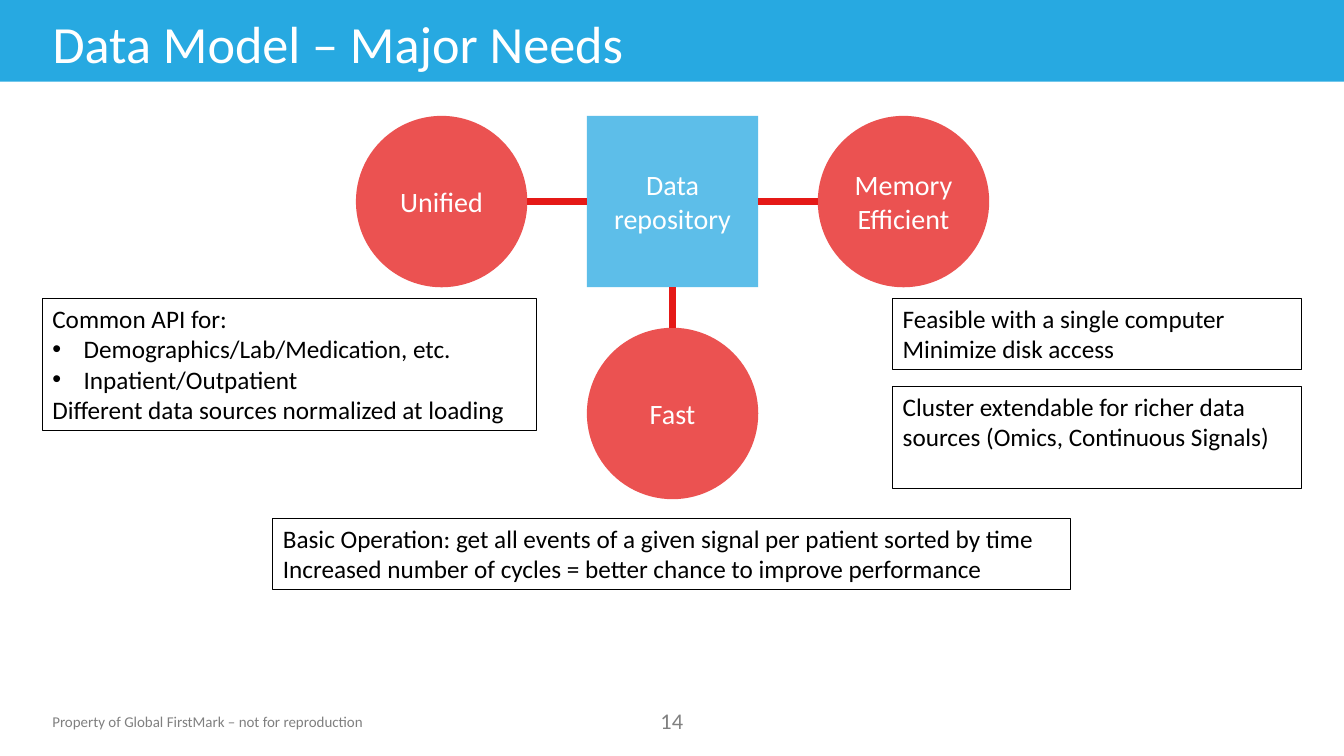
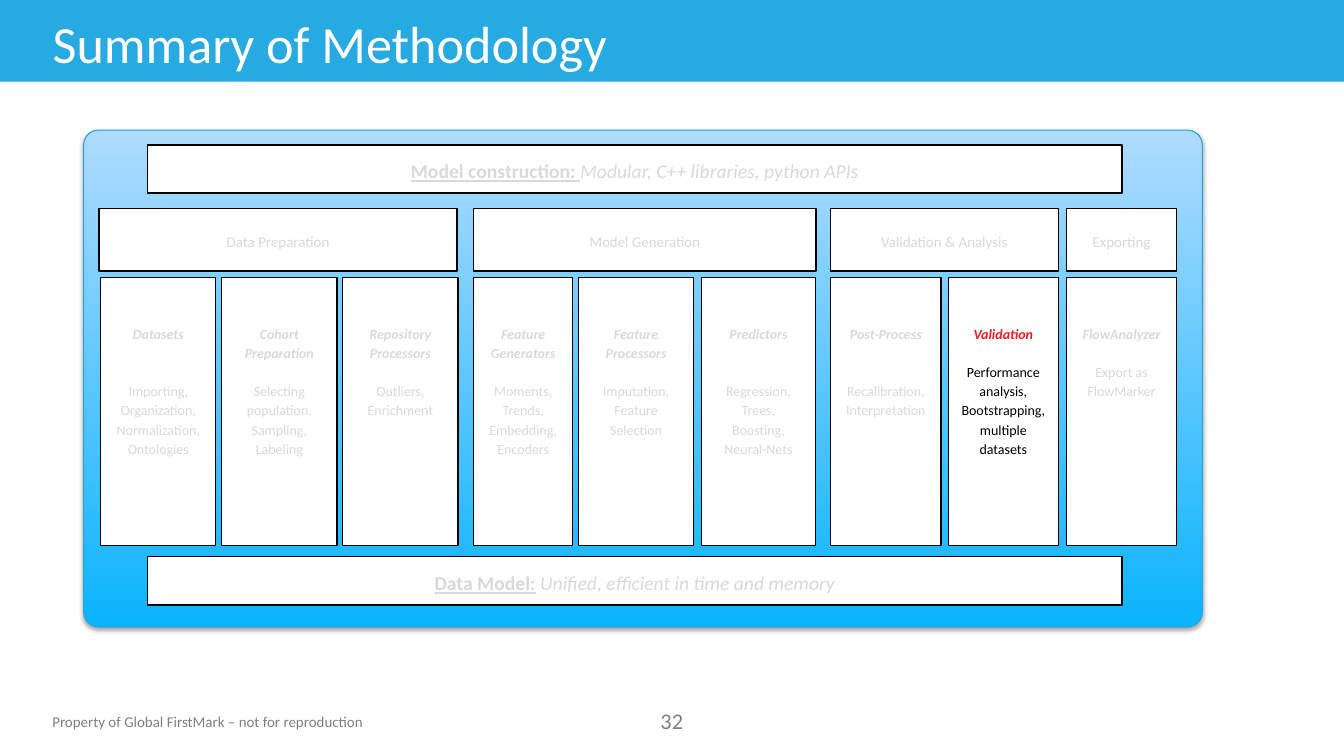
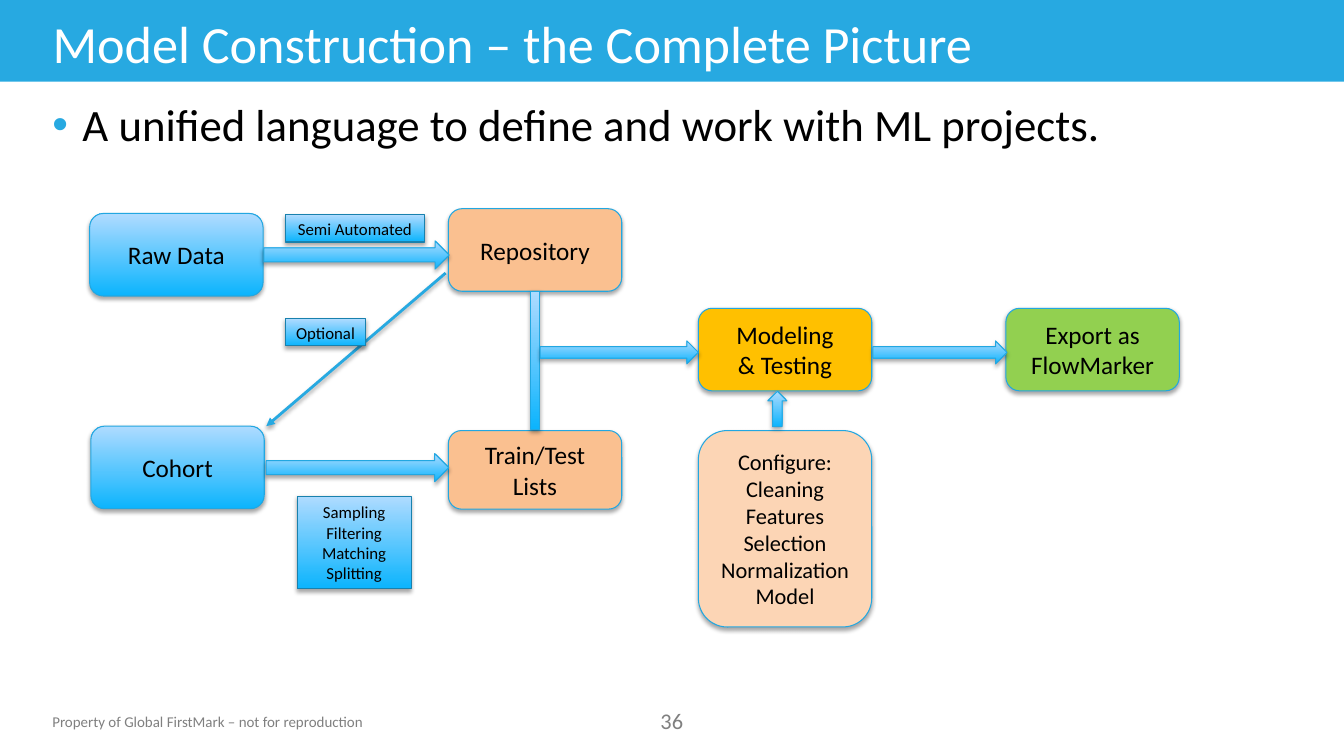
from lxml.etree import SubElement
from pptx import Presentation
from pptx.dml.color import RGBColor
from pptx.enum.shapes import MSO_CONNECTOR, MSO_SHAPE
from pptx.enum.text import MSO_ANCHOR, PP_ALIGN
from pptx.oxml.ns import qn
from pptx.util import Cm, Pt

INK = {
    "band": "27A9E1", "hub": "27A9E2", "red": "E51917", "hot": "ED1C24",
    "white": "FFFFFF", "black": "000000", "gray": "808080", "pale": "D9D9D9",
    "deep": "0BB4FD", "light": "AFDBFF", "rim": "22A7E1", "edge": "1881AE",
    "peach": "FAC090", "cream": "FCD5B5", "gold": "FFC000", "green": "92D050",
}
FONT = "Calibri"
FOOT = "Property of Global FirstMark – not for reproduction"


def tint(name):
    return RGBColor.from_string(INK[name])


def style(run, size, ink, bold=False, slant=False, under=False):
    font = run.font
    font.name, font.size = FONT, Pt(size)
    font.color.rgb = tint(ink)
    font.bold, font.italic, font.underline = bold, slant, under


def write(shape, text, size, ink, align=PP_ALIGN.CENTER, anchor=MSO_ANCHOR.MIDDLE):
    frame = shape.text_frame
    frame.text = text
    frame.word_wrap = True
    frame.vertical_anchor = anchor
    for para in frame.paragraphs:
        para.alignment = align
        for run in para.runs:
            style(run, size, ink)


def label(slide, box, text, size, ink, align=PP_ALIGN.LEFT):
    shape = slide.shapes.add_textbox(*map(Cm, box))
    write(shape, text, size, ink, align, MSO_ANCHOR.TOP)
    return shape


def bullet(para, indent, ink=None):
    props = para._p.get_or_add_pPr()
    props.set("marL", str(Cm(indent)))
    props.set("indent", str(-Cm(indent)))
    if ink:
        color = SubElement(props, qn("a:buClr"))
        SubElement(color, qn("a:srgbClr"), val=INK[ink])
    SubElement(props, qn("a:buFont"), typeface="Arial")
    SubElement(props, qn("a:buChar"), char="•")


def cast(effects):
    drop = SubElement(effects, qn("a:outerShdw"), blurRad=str(Pt(3.1)), dist=str(Pt(1.8)),
                      dir="5400000", rotWithShape="0")
    color = SubElement(drop, qn("a:srgbClr"), val=INK["black"])
    SubElement(color, qn("a:alpha"), val="35000")


def draw(slide, kind, box, fill=None, rim=None, width=0.75):
    shape = slide.shapes.add_shape(kind, *map(Cm, box))
    shape.shadow.inherit = False
    if fill == "fade":
        shape.fill.gradient()
        shape.fill.gradient_angle = 90
        for stop, name in zip(shape.fill.gradient_stops, ("deep", "light")):
            stop.color.rgb = tint(name)
    elif fill:
        shape.fill.solid()
        shape.fill.fore_color.rgb = tint(fill)
    else:
        shape.fill.background()
    if rim:
        shape.line.color.rgb = tint(rim)
        shape.line.width = Pt(width)
    else:
        shape.line.fill.background()
    return shape


def raised(slide, kind, box, fill="fade", rim="rim"):
    shape = draw(slide, kind, box, fill, rim)
    cast(shape.element.spPr.find(qn("a:effectLst")))
    return shape


def link(slide, start, end, ink, width):
    line = slide.shapes.add_connector(MSO_CONNECTOR.STRAIGHT, *map(Cm, start + end))
    line.line.color.rgb = tint(ink)
    line.line.width = Pt(width)
    return line, SubElement(line.element.spPr, qn("a:effectLst"))


def dress(layout, slide):
    band = draw(slide, MSO_SHAPE.RECTANGLE, (0, 0, 33.87, 2.06), "band")
    foot = label(slide, (1.07, 17.83, 9, 0.71), FOOT, 10.7, "gray")
    for spot, shape in enumerate((band, foot), 2):
        layout.shapes.element.insert(spot, shape.element)


def page(deck, title, number):
    layout = deck.slide_layouts[5]
    slide = deck.slides.add_slide(layout)
    if len(deck.slides) == 1:
        dress(layout, slide)
    head = slide.shapes.title
    head.left, head.top, head.width, head.height = map(Cm, (1.07, 0.15, 28.19, 1.85))
    write(head, title, 37.3, "white", PP_ALIGN.LEFT)
    label(slide, (15.9, 17.7, 2.06, 0.94), str(number), 16, "gray", PP_ALIGN.CENTER)
    return slide


def node(slide, kind, left, top, side, fill, text):
    shape = draw(slide, kind, (left, top, side, side), fill)
    color = shape.element.spPr.find(qn("a:solidFill")).find(qn("a:srgbClr"))
    SubElement(color, qn("a:alpha"), val="75000")
    write(shape, text, 20, "white")


def note(slide, box, text, dots=()):
    shape = draw(slide, MSO_SHAPE.RECTANGLE, box, None, "black")
    write(shape, text, 18, "black", PP_ALIGN.LEFT, MSO_ANCHOR.TOP)
    for spot in dots:
        bullet(shape.text_frame.paragraphs[spot], 0.79)


def needs(deck):
    slide = page(deck, "Data Model – Major Needs", 14)
    side, step, left, top, low = 4.32, 5.82, 8.97, 2.92, 8.26
    hub = left + step
    for x, y, text in ((left, top, "Unified"), (hub, low, "Fast"),
                       (hub + step, top, "Memory Efficient")):
        node(slide, MSO_SHAPE.OVAL, x, y, side, "red", text)
    node(slide, MSO_SHAPE.RECTANGLE, hub, top, side, "hub", "Data repository")
    mid, row = hub + side / 2, top + side / 2
    for start, end in (((left + side, row), (hub, row)),
                       ((hub + side, row), (hub + step, row)),
                       ((mid, low), (mid, top + side))):
        link(slide, start, end, "red", 5)
    note(slide, (22.5, 7.52, 10.29, 1.8),
         "Feasible with a single computer\nMinimize disk access")
    note(slide, (1.07, 7.52, 12.45, 3.33),
         "Common API for:\nDemographics/Lab/Medication, etc.\nInpatient/Outpatient\n"
         "Different data sources normalized at loading", (1, 2))
    note(slide, (6.88, 13.06, 20.09, 1.8),
         "Basic Operation: get all events of a given signal per patient sorted by time\n"
         "Increased number of cycles = better chance to improve performance")
    note(slide, (22.5, 9.73, 10.29, 2.57),
         "Cluster extendable for richer data sources (Omics, Continuous Signals)")


def cell(slide, box, text, size):
    shape = draw(slide, MSO_SHAPE.RECTANGLE, box, "white", "black", 1)
    write(shape, text, size, "pale")
    frame = shape.text_frame
    frame.margin_left = frame.margin_right = Cm(0.33)
    frame.margin_top = frame.margin_bottom = Cm(0.18)
    for para in frame.paragraphs:
        para.line_spacing = 1.15
    return frame


def bar(slide, top, lead, rest):
    para = cell(slide, (3.72, top, 24.56, 1.22), lead, 14).paragraphs[0]
    style(para.runs[0], 14, "pale", bold=True, under=True)
    run = para.add_run()
    run.text = rest
    style(run, 14, "pale", slant=True)


def column(slide, left, width, head, body, gap, inks=("pale", "pale")):
    frame = cell(slide, (left, 6.99, width, 6.76), f"{head}\n{body}", 10)
    frame.vertical_anchor = MSO_ANCHOR.TOP
    frame.margin_top = Cm(1.14)
    first, last = frame.paragraphs
    first.space_after = Pt(gap)
    style(first.runs[0], 10, inks[0], bold=True, slant=True)
    style(last.runs[0], 10, inks[1])


def method(deck):
    slide = page(deck, "Summary of Methodology", 32)
    panel = raised(slide, MSO_SHAPE.ROUNDED_RECTANGLE, (2.11, 3.28, 28.19, 12.52))
    panel.adjustments[0] = 0.03
    bar(slide, 3.65, "Model construction: ", "Modular, C++ libraries, python APIs")
    bar(slide, 14.03, "Data Model:", " Unified, efficient in time and memory")
    for left, width, text in (
        (2.5, 9.02, "Data Preparation"),
        (11.93, 8.64, "Model Generation"),
        (20.93, 5.74, "Validation & Analysis"),
        (26.88, 2.77, "Exporting"),
    ):
        cell(slide, (left, 5.26, width, 1.57), text, 10.7)
    near, far = 13.3, 27.3
    for row in (
        (2.54, 2.9, "Datasets", "Importing, Organization, Normalization, Ontologies", far),
        (5.59, 2.9, "Cohort Preparation", "Selecting population, Sampling, Labeling", near),
        (8.64, 2.9, "Repository Processors", "Outliers, Enrichment", near),
        (11.94, 2.49, "Feature Generators", "Moments, Trends, Embedding, Encoders", near),
        (14.58, 2.9, "Feature Processors", "Imputation, Feature Selection", near),
        (17.68, 2.87, "Predictors", "Regression, Trees, Boosting, Neural-Nets", far),
        (20.93, 2.79, "Post-Process", "Recalibration, Interpretation", far),
        (23.9, 2.77, "Validation",
         "Performance analysis, Bootstrapping, multiple datasets", near, ("hot", "black")),
        (26.88, 2.77, "FlowAnalyzer", "Export as FlowMarker", near),
    ):
        column(slide, *row)


def flow(deck):
    slide = page(deck, "Model Construction – the Complete Picture", 36)
    lead = label(slide, (1.07, 2.31, 30, 2.01),
                 "A unified language to define and work with ML projects.", 32, "black")
    bullet(lead.text_frame.paragraphs[0], 0.76, "band")
    line, effects = link(slide, (11.23, 6.88), (6.71, 10.74), "band", 2)
    cast(effects)
    SubElement(line.line._get_or_add_ln(), qn("a:tailEnd"), type="triangle")
    for left, top, high, fill, size, text in (
        (2.26, 5.38, 2.08, "fade", 18, "Raw Data"),
        (11.3, 5.26, 2.08, "peach", 18, "Repository"),
        (2.29, 10.74, 2.08, "fade", 18, "Cohort"),
        (11.3, 10.85, 1.98, "peach", 18, "Train/Test Lists"),
        (17.6, 7.77, 2.08, "gold", 18, "Modeling\n& Testing"),
        (17.6, 10.85, 4.95, "cream", 16,
         "Configure:\nCleaning\nFeatures\nSelection\nNormalization\nModel"),
        (25.35, 7.77, 2.08, "green", 18, "Export as FlowMarker"),
    ):
        step = raised(slide, MSO_SHAPE.ROUNDED_RECTANGLE, (left, top, 4.37, high), fill)
        write(step, text, size, "black")
    for box, text in (
        ((7.19, 5.41, 3.51, 0.69), "Semi Automated"),
        ((7.19, 8.03, 2.03, 0.69), "Optional"),
        ((7.49, 12.5, 2.87, 2.34), "Sampling\nFiltering\nMatching\nSplitting"),
    ):
        write(raised(slide, MSO_SHAPE.RECTANGLE, box, rim="edge"), text, 12, "black")
    raised(slide, MSO_SHAPE.RECTANGLE, (13.36, 7.34, 0.23, 3.48))
    raised(slide, MSO_SHAPE.UP_ARROW, (19.35, 9.86, 0.48, 0.89))
    for box in ((6.65, 6.07, 4.67, 0.71), (6.71, 11.43, 4.6, 0.71),
                (13.61, 8.59, 3.99, 0.58), (22, 8.59, 3.38, 0.58)):
        raised(slide, MSO_SHAPE.RIGHT_ARROW, box)


def main():
    deck = Presentation()
    deck.slide_width, deck.slide_height = Cm(33.87), Cm(19.05)
    needs(deck)
    method(deck)
    flow(deck)
    deck.save("out.pptx")


if __name__ == "__main__":
    main()
